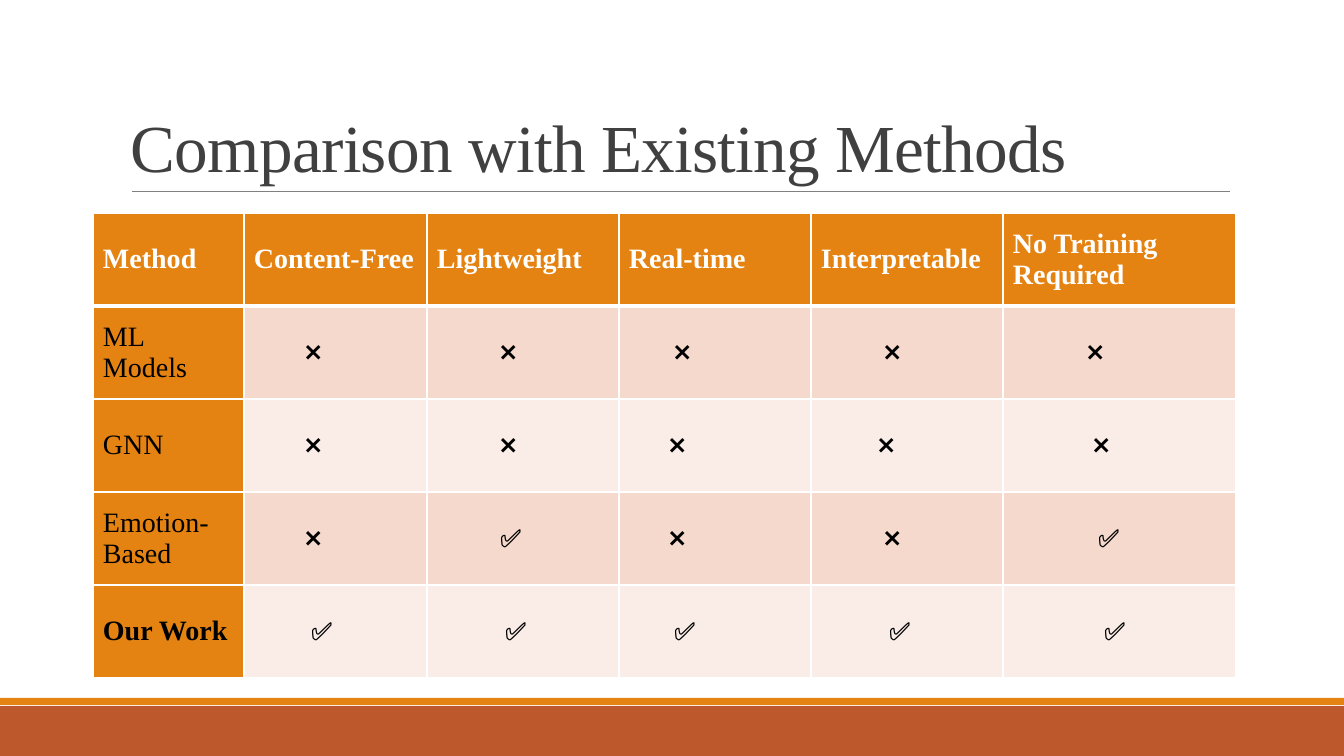
from lxml import etree
from pptx import Presentation
from pptx.dml.color import RGBColor
from pptx.enum.shapes import MSO_CONNECTOR, MSO_SHAPE
from pptx.enum.text import MSO_ANCHOR
from pptx.oxml.ns import qn
from pptx.util import Pt

STRAIGHT = MSO_CONNECTOR.STRAIGHT
RECTANGLE = MSO_SHAPE.RECTANGLE
MIDDLE = MSO_ANCHOR.MIDDLE
BOTTOM = MSO_ANCHOR.BOTTOM

WIDTH, HEIGHT = 1344, 756
EMU_PER_PX = 12192000 / WIDTH
SERIF, SANS = "Times New Roman", "Calibri"
ORANGE, RUST, WHITE, BLACK = "E48312", "BD582C", "FFFFFF", "000000"
BANDS = ["F5D9CC", "FAEDE7"]

HEADERS = ["Method", "Content-Free", "Lightweight", "Real-time",
           "Interpretable", "No Training Required"]
METHODS = [
    ("ML Models", "❌❌❌❌❌", [61, 73, 55, 73, 84]),
    ("GNN", "❌❌❌❌❌", [61, 73, 50, 67, 90]),
    ("Emotion-Based", "❌✅❌❌✅", [61, 73, 50, 73, 95]),
    ("Our Work", "✅✅✅✅✅", [67, 78, 55, 78, 101]),
]
COLUMN_WIDTHS = [151, 183, 192, 192, 192, 233]
ROW_HEIGHT = 93
CELL_MARGIN = 10


def px(length):
    return round(length * EMU_PER_PX)


def color(value):
    return RGBColor.from_string(value)


class SlideBuilder:
    """Draws styled elements on the current slide."""

    def __init__(self, slide):
        self.slide = slide

    def style(self, paragraph, size, font_name, font_color, bold=False):
        font = paragraph.font
        font.size, font.name, font.bold = Pt(size), font_name, bold
        font.color.rgb = color(font_color)

    def bar(self, left, top, width, height, fill):
        shape = self.slide.shapes.add_shape(
            RECTANGLE, px(left), px(top), px(width), px(height))
        shape.shadow.inherit = False
        shape.fill.solid()
        shape.fill.fore_color.rgb = color(fill)
        shape.line.fill.background()

    def rule(self, left, right, top, line_color, width):
        connector = self.slide.shapes.add_connector(
            STRAIGHT, px(left), px(top), px(right), px(top))
        connector.line.color.rgb = color(line_color)
        connector.line.width = Pt(width)
        etree.SubElement(connector._element.spPr, qn("a:effectLst"))

    def title(self, text, left, top, width, height):
        box = self.slide.shapes.add_textbox(px(left), px(top), px(width), px(height))
        frame = box.text_frame
        frame.word_wrap = True
        frame.vertical_anchor = BOTTOM
        paragraph = frame.paragraphs[0]
        run = paragraph.add_run()
        run.text = text
        run.font._element.set("spc", "-50")
        paragraph.line_spacing = 0.85
        self.style(paragraph, 48, SERIF, "404040")

    def borders(self, cell, top, bottom):
        properties = cell._tc.get_or_add_tcPr()
        for side, width in (("L", 1), ("R", 1), ("T", top), ("B", bottom)):
            line = etree.SubElement(properties, qn(f"a:ln{side}"), w=str(Pt(width)))
            fill = etree.SubElement(line, qn("a:solidFill"))
            etree.SubElement(fill, qn("a:srgbClr"), val=WHITE)

    def cell(self, cell, text, fill, font, indent=CELL_MARGIN, top=1, bottom=1):
        self.borders(cell, top, bottom)
        cell.fill.solid()
        cell.fill.fore_color.rgb = color(fill)
        cell.vertical_anchor = MIDDLE
        cell.margin_left = px(indent)
        cell.text = text
        self.style(cell.text_frame.paragraphs[0], *font)

    def comparison(self, left, top):
        row_count = len(METHODS) + 1
        table = self.slide.shapes.add_table(
            row_count, len(HEADERS), px(left), px(top),
            px(sum(COLUMN_WIDTHS)), px(ROW_HEIGHT * row_count)).table
        table.first_row = table.horz_banding = False
        for column, width in zip(table.columns, COLUMN_WIDTHS):
            column.width = px(width)
        for row in table.rows:
            row.height = px(ROW_HEIGHT)
        for column, header in enumerate(HEADERS):
            self.cell(table.cell(0, column), header, ORANGE,
                      (20, SERIF, WHITE, True), bottom=3)
        for row, (method, marks, indents) in enumerate(METHODS, 1):
            top_border = 3 if row == 1 else 1
            self.cell(table.cell(row, 0), method, ORANGE,
                      (20, SERIF, BLACK, method == "Our Work"), top=top_border)
            for column, (mark, indent) in enumerate(zip(marks, indents), 1):
                self.cell(table.cell(row, column), mark, BANDS[(row - 1) % 2],
                          (18, SANS, BLACK), indent, top=top_border)


def main():
    presentation = Presentation()
    presentation.slide_width, presentation.slide_height = px(WIDTH), px(HEIGHT)
    builder = SlideBuilder(presentation.slides.add_slide(presentation.slide_layouts[6]))
    builder.bar(0, 706, WIDTH, 50, RUST)
    builder.bar(0, 698, WIDTH, 7, ORANGE)
    builder.rule(132, 1230, 191, "808080", 0.5)
    builder.title("Comparison with Existing Methods", 121, 31, 1109, 160)
    builder.comparison(93, 213)
    presentation.save("out.pptx")


if __name__ == "__main__":
    main()
